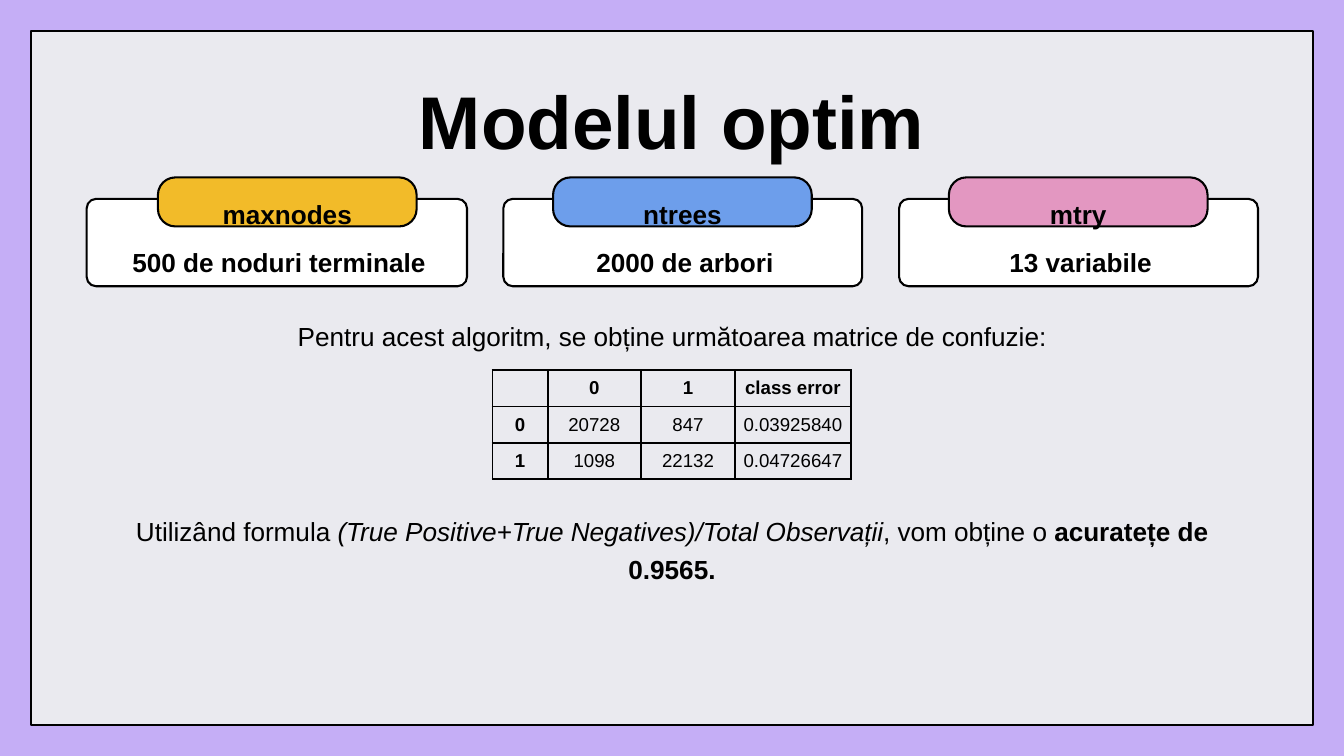
import pptx
import pptx.util
import pptx.dml.color
import pptx.enum.shapes
import pptx.enum.text
import pptx.oxml.ns
import lxml.etree

Inches, Pt = pptx.util.Inches, pptx.util.Pt
SHAPES = pptx.enum.shapes.MSO_SHAPE
FONT = "Arial"
COLORS = {
    "background": "C5AEF6", "panel": "EAEAEF", "ink": "000000", "card": "FFFFFF",
    "maxnodes": "F2BB29", "ntrees": "6D9EEB", "mtry": "E397C1",
}
LINE_WIDTH = Pt(2.25)

# Parameter name, value, left and width of its card
PARAMETERS = [
    ("maxnodes", "500 de noduri terminale", 1.29, 5.66),
    ("ntrees", "2000 de arbori", 7.49, 5.34),
    ("mtry", "13 variabile", 13.38, 5.34),
]
CONFUSION = [
    ["", "0", "1", "class error"],
    ["0", "20728", "847", "0.03925840"],
    ["1", "1098", "22132", "0.04726647"],
]


def color(name):
    return pptx.dml.color.RGBColor.from_string(COLORS[name])


def style_run(run, size, bold=False, italic=False):
    run.font.name = FONT
    run.font.size = Pt(size)
    run.font.bold = bold
    run.font.italic = italic
    run.font.color.rgb = color("ink")


def fill_text(frame, runs, size, spacing):
    """Write (text, bold, italic) runs as one centred paragraph without insets."""
    frame.word_wrap = True
    frame.auto_size = pptx.enum.text.MSO_AUTO_SIZE.NONE
    frame.vertical_anchor = pptx.enum.text.MSO_ANCHOR.TOP
    frame.margin_left = frame.margin_right = frame.margin_top = frame.margin_bottom = 0
    paragraph = frame.paragraphs[0]
    paragraph.alignment = pptx.enum.text.PP_ALIGN.CENTER
    paragraph.line_spacing = spacing
    for text, bold, italic in runs:
        run = paragraph.add_run()
        run.text = text
        style_run(run, size, bold, italic)


def add_text(slide, left, top, width, runs, spacing=1.2):
    box = slide.shapes.add_textbox(
        Inches(left), Inches(top), Inches(width), Inches(0.47))
    fill_text(box.text_frame, runs, 28, spacing)


def add_box(slide, kind, left, top, width, height, fill, radius=None):
    box = slide.shapes.add_shape(
        kind, Inches(left), Inches(top), Inches(width), Inches(height))
    box.shadow.inherit = False
    box.fill.solid()
    box.fill.fore_color.rgb = color(fill)
    box.line.color.rgb = color("ink")
    box.line.width = LINE_WIDTH
    if radius is not None:
        box.adjustments[0] = radius / min(width, height)
    return box


def add_panel(slide, left, top, width, height):
    panel = add_box(slide, SHAPES.RECTANGLE, left, top, width, height, "panel")
    # Behind the title placeholder
    slide.shapes._spTree.insert(2, panel._element)


def add_title(slide, left, top, width, height):
    title = slide.shapes.title
    title.left, title.top = Inches(left), Inches(top)
    title.width, title.height = Inches(width), Inches(height)
    fill_text(title.text_frame, [("Modelul optim", True, False)], 80, 1.2)


def add_parameter(slide, name, value, left, top, width, height):
    """A card with its value and a coloured tag across the top edge."""
    tag_width, tag_height, label_width = 3.85, 0.73, 2.63
    tag_left = left + width - 0.75 - tag_width
    tag_top = top - 0.32
    add_box(slide, SHAPES.ROUNDED_RECTANGLE, left, top, width, height, "card", 0.14)
    add_box(slide, SHAPES.ROUNDED_RECTANGLE, tag_left, tag_top,
            tag_width, tag_height, name, 0.26)
    add_text(slide, tag_left + (tag_width - label_width) / 2, tag_top + 0.13,
             label_width, [(name, True, False)], 1.4)
    add_text(slide, left + 0.03, top + 0.61, width, [(value, True, False)])


def add_border(cell):
    properties = cell._tc.get_or_add_tcPr()
    for side in ("lnL", "lnR", "lnT", "lnB"):
        line = lxml.etree.SubElement(
            properties, pptx.oxml.ns.qn("a:" + side), w=str(int(LINE_WIDTH)))
        fill = lxml.etree.SubElement(line, pptx.oxml.ns.qn("a:solidFill"))
        lxml.etree.SubElement(fill, pptx.oxml.ns.qn("a:srgbClr"), val=COLORS["ink"])


def add_confusion_matrix(slide, left, top, column_widths, row_height):
    table = slide.shapes.add_table(
        len(CONFUSION), len(column_widths), Inches(left), Inches(top),
        Inches(sum(column_widths)), Inches(row_height * len(CONFUSION))).table
    table.first_row = table.horz_banding = False
    for column, width in zip(table.columns, column_widths):
        column.width = Inches(width)
    for r, values in enumerate(CONFUSION):
        table.rows[r].height = Inches(row_height)
        for c, value in enumerate(values):
            cell = table.cell(r, c)
            add_border(cell)
            cell.fill.background()
            cell.margin_left = cell.margin_right = Inches(0.1)
            cell.margin_top = cell.margin_bottom = Inches(0.1)
            cell.vertical_anchor = pptx.enum.text.MSO_ANCHOR.MIDDLE
            paragraph = cell.text_frame.paragraphs[0]
            paragraph.text = value
            paragraph.alignment = pptx.enum.text.PP_ALIGN.CENTER
            for run in paragraph.runs:
                style_run(run, 20, bold=r == 0 or c == 0)


def main():
    deck = pptx.Presentation()
    deck.slide_width, deck.slide_height = Inches(20), Inches(11.25)
    slide = deck.slides.add_slide(deck.slide_layouts[5])
    slide.background.fill.solid()
    slide.background.fill.fore_color.rgb = color("background")

    add_panel(slide, 0.46, 0.46, 19.08, 10.33)
    add_title(slide, 1.83, 0.84, 16.34, 1.35)

    # Model parameters
    for name, value, left, width in PARAMETERS:
        add_parameter(slide, name, value, left, 2.96, width, 1.3)

    # Confusion matrix and accuracy
    add_text(slide, 1.83, 4.67, 16.34, [
        ("Pentru acest algoritm, se obține următoarea matrice de confuzie:", False, False)])
    add_confusion_matrix(slide, 7.33, 5.51, [0.82, 1.39, 1.4, 1.72], 0.54)
    add_text(slide, 1.83, 7.58, 16.34, [
        ("Utilizând formula ", False, False),
        ("(True Positive+True Negatives)/Total Observații", False, True),
        (", vom obține o ", False, False),
        ("acuratețe de 0.9565.", True, False)])

    deck.save("out.pptx")


if __name__ == "__main__":
    main()
